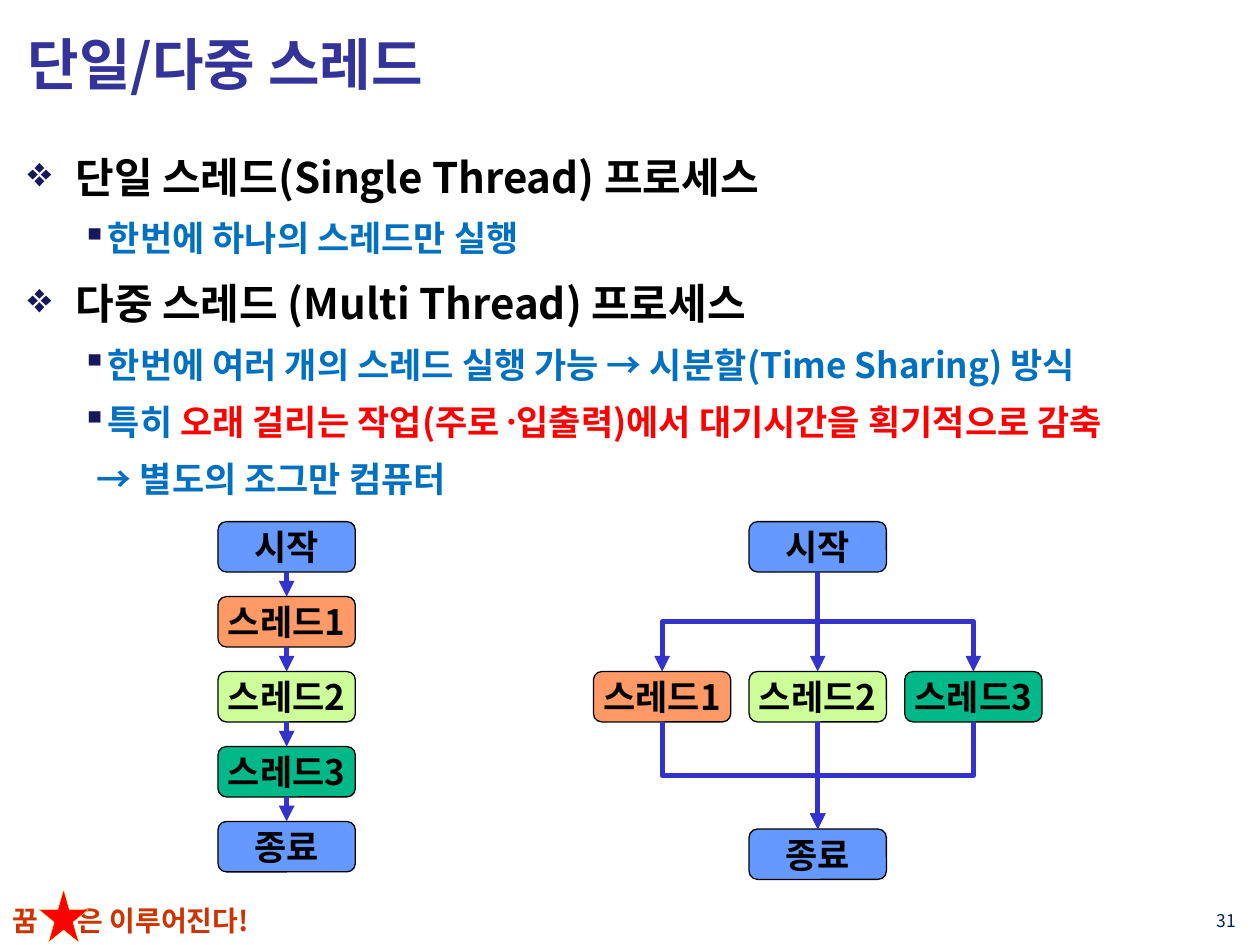
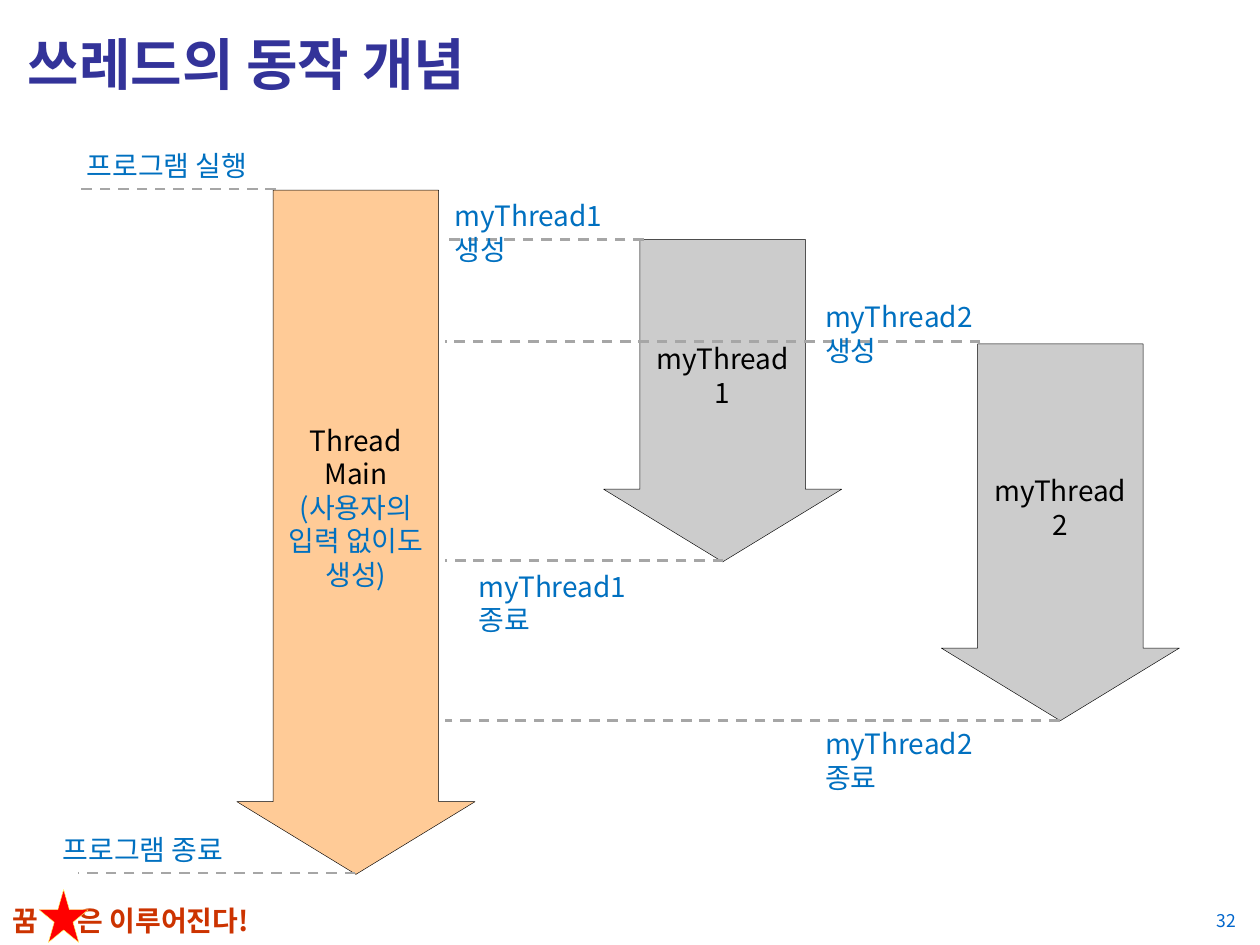
import pptx
import pptx.util
import pptx.dml.color
import pptx.enum.dml
import pptx.enum.shapes
import pptx.enum.text
import pptx.oxml.ns
from lxml import etree

Inches = pptx.util.Inches
Pt = pptx.util.Pt
RGB = pptx.dml.color.RGBColor
SHAPE = pptx.enum.shapes.MSO_SHAPE
LINK = pptx.enum.shapes.MSO_CONNECTOR
ALIGN = pptx.enum.text.PP_ALIGN
ANCHOR = pptx.enum.text.MSO_ANCHOR
qn = pptx.oxml.ns.qn

FONT = "Noto Sans CJK KR"
BLACK = RGB(0, 0, 0)
TITLE = RGB(0x33, 0x33, 0x99)
MOTTO = RGB(0xCC, 0x33, 0x00)
RED = RGB(0xFF, 0, 0)
STAR_EDGE = RGB(0xFF, 0xFF, 0x66)
BLUE = RGB(0, 0x70, 0xC0)
NAVY = RGB(0, 0x20, 0x60)
PAGE_BLUE = RGB(0, 0x66, 0xCC)
BULLET = RGB(0x17, 0x17, 0x5C)
FLOW = RGB(0x33, 0x33, 0xCC)
TERMINAL = RGB(0x66, 0x99, 0xFF)
ORANGE = RGB(0xFF, 0x99, 0x66)
LIME = RGB(0xCC, 0xFF, 0x99)
GREEN = RGB(0, 0xB8, 0x88)
PEACH = RGB(0xFF, 0xCB, 0x97)
GREY = RGB(0xCC, 0xCC, 0xCC)
DASH = RGB(0xA6, 0xA6, 0xA6)

THREADS = [("스레드1", ORANGE), ("스레드2", LIME), ("스레드3", GREEN)]
START = ("시작", TERMINAL)
END = ("종료", TERMINAL)
STEP_W, STEP_H = 1.09, 0.4

OUTLINE = [
    (0, [("단일 스레드(Single Thread) 프로세스", BLACK)]),
    (1, [("한번에 하나의 스레드만 실행", BLUE)]),
    (0, [("다중 스레드 (Multi Thread) 프로세스", BLACK)]),
    (1, [("한번에 여러 개의 스레드 실행 가능 → 시분할(Time Sharing) 방식", BLUE)]),
    (1, [("특히 ", BLUE),
         ("오래 걸리는 작업(주로 입〮출력)에서 대기시간을 획기적으로 감축", RED)]),
    (2, [("→ 별도의 조그만 컴퓨터", BLUE)]),
]
OUTLINE_STYLES = [(24, 0.38, -0.38, "❖"), (20, 0.63, -0.2, "▪"), (20, 0.55, 0, None)]


def style(paragraph, size, color=None, bold=False, align=None):
    if align is not None:
        paragraph.alignment = align
    font = paragraph.font
    font.size = Pt(size)
    font.bold = bold
    font.name = FONT
    if color is not None:
        font.color.rgb = color
    defaults = paragraph._p.pPr.find(qn("a:defRPr"))
    etree.SubElement(defaults, qn("a:ea"), typeface=FONT)


def text_box(slide, box, text, size, color, bold=False, align=None, anchor=ANCHOR.TOP):
    frame = slide.shapes.add_textbox(*map(Inches, box)).text_frame
    frame.word_wrap = True
    frame.vertical_anchor = anchor
    frame.text = text
    style(frame.paragraphs[0], size, color, bold, align)
    return frame


def filled(slide, kind, box, fill, edge, edge_width):
    shape = slide.shapes.add_shape(kind, *map(Inches, box))
    shape.shadow.inherit = False
    shape.fill.solid()
    shape.fill.fore_color.rgb = fill
    shape.line.color.rgb = edge
    shape.line.width = Pt(edge_width)
    return shape


def connector(slide, kind, start, end, color, width):
    link = slide.shapes.add_connector(kind, *map(Inches, (*start, *end)))
    link.line.color.rgb = color
    link.line.width = Pt(width)
    etree.SubElement(link._element.spPr, qn("a:effectLst"))
    return link


def add_arrowhead(link):
    etree.SubElement(link.line._get_or_add_ln(), qn("a:tailEnd"), type="triangle")


def slide_frame(deck, title, number, number_color):
    slide = deck.slides.add_slide(deck.slide_layouts[6])
    motto = text_box(slide, (0, 7.12, 2.48, 0.37), "꿈\t은 이루어진다!", 16, MOTTO, True)
    properties = motto.paragraphs[0]._p.pPr
    tabs = etree.Element(qn("a:tabLst"))
    etree.SubElement(tabs, qn("a:tab"), pos=str(Inches(0.52)), algn="l")
    properties.insert(0, tabs)
    filled(slide, SHAPE.STAR_5_POINT, (0.31, 7.06, 0.39, 0.42), RED, STAR_EDGE, 0.25)
    text_box(slide, (0.12, 0.06, 9.76, 0.88), title, 32, TITLE, True, anchor=ANCHOR.MIDDLE)
    text_box(slide, (9.33, 7.15, 0.58, 0.31), str(number), 10, number_color,
             align=ALIGN.RIGHT, anchor=ANCHOR.MIDDLE)
    return slide


def set_bullet(paragraph, indent, hanging, mark):
    properties = paragraph._p.get_or_add_pPr()
    properties.set("marL", str(Inches(indent)))
    properties.set("indent", str(Inches(hanging)))
    if mark is None:
        etree.SubElement(properties, qn("a:buNone"))
        return
    color = etree.SubElement(properties, qn("a:buClr"))
    etree.SubElement(color, qn("a:srgbClr"), val=str(BULLET))
    etree.SubElement(properties, qn("a:buChar"), char=mark)


def outline(slide, box):
    frame = slide.shapes.add_textbox(*map(Inches, box)).text_frame
    frame.word_wrap = True
    for index, (kind, pieces) in enumerate(OUTLINE):
        paragraph = frame.add_paragraph() if index else frame.paragraphs[0]
        size, indent, hanging, mark = OUTLINE_STYLES[kind]
        paragraph.level = min(kind, 1)
        set_bullet(paragraph, indent, hanging, mark)
        paragraph.line_spacing = 1.2
        if index:
            paragraph.space_before = Pt(size * 0.2)
        style(paragraph, size, pieces[0][1] if len(pieces) == 1 else None, True)
        for text, color in pieces:
            run = paragraph.add_run()
            run.text = text
            if len(pieces) > 1:
                run.font.color.rgb = color


def step(slide, left, top, label, fill):
    shape = filled(slide, SHAPE.ROUNDED_RECTANGLE, (left, top, STEP_W, STEP_H),
                   fill, BLACK, 0.75)
    frame = shape.text_frame
    frame.word_wrap = False
    frame.vertical_anchor = ANCHOR.MIDDLE
    frame.text = label
    style(frame.paragraphs[0], 20, BLACK, True, ALIGN.CENTER)
    return shape


def straight_flow(slide, upper, lower):
    link = connector(slide, LINK.STRAIGHT, (0, 0), (1, 1), FLOW, 3)
    link.begin_connect(upper, 2)
    link.end_connect(lower, 0)
    add_arrowhead(link)


def bent_flow(slide, start, end):
    (x1, y1), (x2, y2) = start, end
    drop, reach = y2 - y1, abs(x2 - x1)
    left, top = (x1 + x2 - drop) / 2, (y1 + y2 - reach) / 2
    link = connector(slide, LINK.ELBOW, (left, top), (left + drop, top + reach), FLOW, 3)
    transform = link._element.spPr.find(qn("a:xfrm"))
    if x2 < x1:
        transform.set("rot", str(90 * 60000))
    else:
        transform.set("rot", str(270 * 60000))
        transform.set("flipH", "1")
    add_arrowhead(link)


def single_thread_flow(slide, left, top):
    pitch = 0.595
    steps = [step(slide, left, top + row * pitch, *content)
             for row, content in enumerate([START, *THREADS, END])]
    for upper, lower in zip(steps, steps[1:]):
        straight_flow(slide, upper, lower)


def multi_thread_flow(slide, left, top):
    pitch, thread_top, end_top = 1.235, top + 1.19, top + 2.44
    middle = left + pitch
    start = step(slide, middle, top, *START)
    threads = [step(slide, left + column * pitch, thread_top, *content)
               for column, content in enumerate(THREADS)]
    end = step(slide, middle, end_top, *END)
    straight_flow(slide, start, threads[1])
    straight_flow(slide, threads[1], end)
    center = middle + STEP_W / 2
    for side in (center - pitch, center + pitch):
        bent_flow(slide, (center, top + STEP_H), (side, thread_top))
        bent_flow(slide, (side, thread_top + STEP_H), (center, end_top))


def thread_arrow(slide, left, top, height, fill, lines, side_inset=0.08):
    shape = filled(slide, SHAPE.DOWN_ARROW, (left, top, 1.89, height), fill, BLACK, 0.25)
    shape.adjustments[0] = 0.695
    shape.adjustments[1] = 0.305
    frame = shape.text_frame
    frame.word_wrap = True
    frame.vertical_anchor = ANCHOR.MIDDLE
    frame.margin_left = frame.margin_right = Inches(side_inset)
    frame.text = "\n".join(text for text, _ in lines)
    for paragraph, (_, color) in zip(frame.paragraphs, lines):
        style(paragraph, 16, color, align=ALIGN.CENTER)


def time_mark(slide, left, right, y):
    mark = connector(slide, LINK.STRAIGHT, (right, y), (left, y), DASH, 1.5)
    mark.line.dash_style = pptx.enum.dml.MSO_LINE.DASH


def event_label(slide, left, top, text, width=1.86, right_inset=0.3):
    frame = text_box(slide, (left, top, width, 0.37), text, 16, BLUE)
    frame.margin_right = Inches(right_inset)


def thread_timeline(slide):
    thread_arrow(slide, 1.88, 1.51, 5.43, PEACH,
                 [("Thread", BLACK), ("Main", BLACK),
                  ("(사용자의", BLUE), ("입력 없이도 생성)", BLUE)], 0.1)
    thread_arrow(slide, 4.79, 1.9, 2.56, GREY, [("myThread1", BLACK)])
    thread_arrow(slide, 7.47, 2.73, 2.99, GREY, [("myThread2", BLACK)])
    for right, y in [(5.11, 1.9), (7.78, 2.71), (8.41, 5.72), (5.74, 4.45)]:
        time_mark(slide, 3.53, right, y)
    for right, y in [(2.19, 1.5), (2.82, 6.93)]:
        time_mark(slide, 0.62, right, y)
    event_label(slide, 3.51, 1.53, "myThread1 생성")
    event_label(slide, 6.45, 2.33, "myThread2 생성")
    event_label(slide, 3.7, 4.47, "myThread1 종료")
    event_label(slide, 6.45, 5.72, "myThread2 종료")
    event_label(slide, 0.59, 1.13, "프로그램 실행", 1.63, 0.1)
    event_label(slide, 0.4, 6.56, "프로그램 종료", 1.63, 0.1)


def main():
    deck = pptx.Presentation()
    deck.slide_width, deck.slide_height = Inches(10), Inches(7.5)
    comparison = slide_frame(deck, "단일/다중 스레드", 31, NAVY)
    outline(comparison, (0.12, 1.07, 9.79, 6.04))
    single_thread_flow(comparison, 1.73, 4.14)
    multi_thread_flow(comparison, 4.71, 4.14)
    thread_timeline(slide_frame(deck, "쓰레드의 동작 개념", 32, PAGE_BLUE))
    deck.save("out.pptx")


if __name__ == "__main__":
    main()
